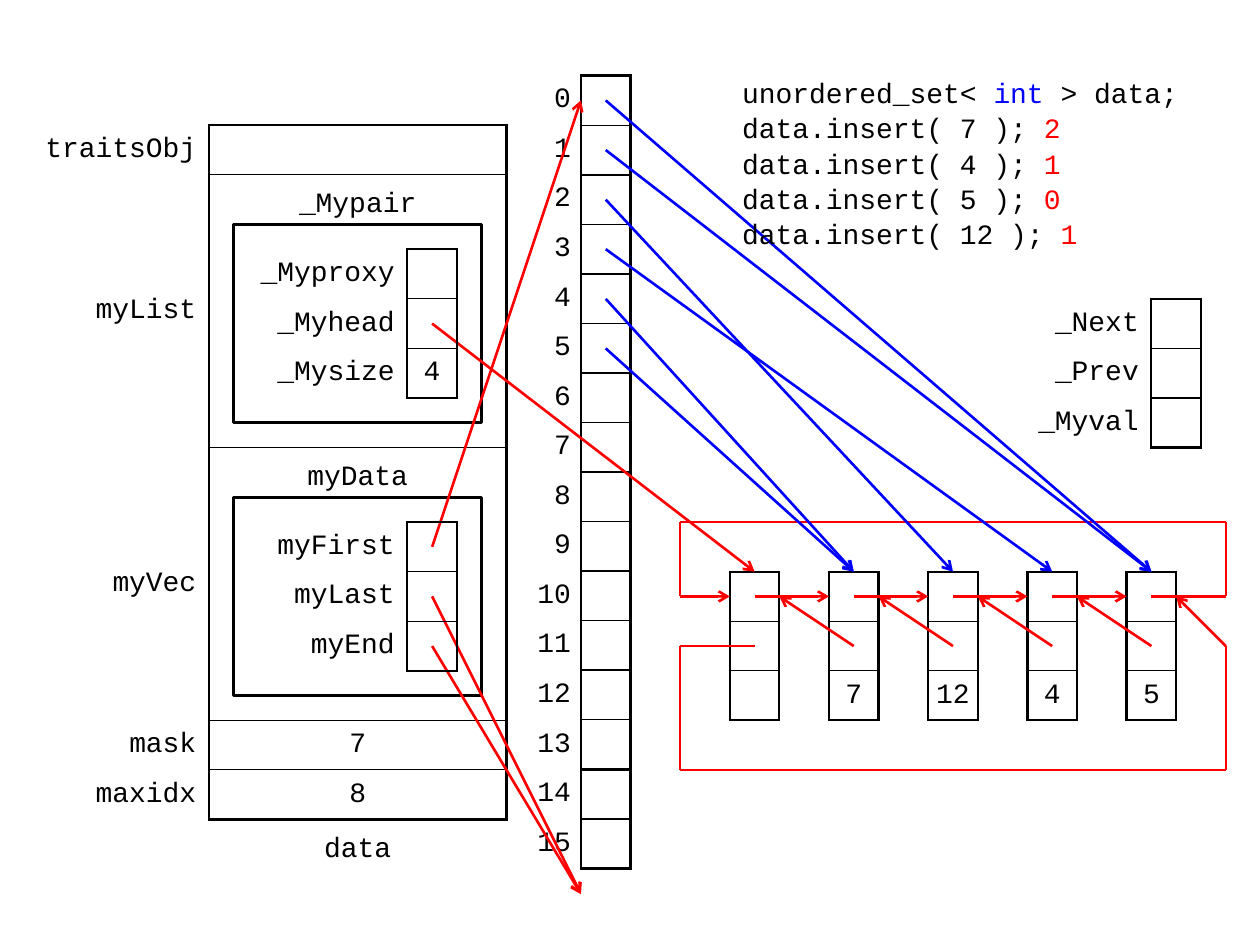
from dataclasses import dataclass

from lxml import etree
from pptx import Presentation
from pptx.dml.color import RGBColor
from pptx.enum.shapes import MSO_CONNECTOR, MSO_SHAPE
from pptx.enum.text import MSO_ANCHOR, PP_ALIGN
from pptx.oxml.ns import qn
from pptx.util import Inches, Pt

LEFT, CENTER, RIGHT = PP_ALIGN.LEFT, PP_ALIGN.CENTER, PP_ALIGN.RIGHT
TOP, MIDDLE, BOTTOM = MSO_ANCHOR.TOP, MSO_ANCHOR.MIDDLE, MSO_ANCHOR.BOTTOM
STRAIGHT, RECTANGLE = MSO_CONNECTOR.STRAIGHT, MSO_SHAPE.RECTANGLE


@dataclass(frozen=True)
class Theme:
    ink: str = "000000"
    paper: str = "FFFFFF"
    link: str = "FF0000"
    bucket: str = "0000FF"
    font: str = "Courier New"
    size: int = 16
    heavy: float = 1.5
    thin: float = 0.75


THEME = Theme()

# The drawing sits on a grid of one-centimetre cells
CELL = 1 / 2.54
GRID_LEFT, GRID_TOP = 0.28, 0.6
NODE_COLUMNS = range(14, 23, 2)
NODE_TOP = 10
NEXT_ROW, PREVIOUS_ROW = 10.5, 11.5


def span(cells):
    return Inches(cells * CELL)


def place(column, row):
    return Inches(GRID_LEFT + column * CELL), Inches(GRID_TOP + row * CELL)


def write_text(frame, lines, align=LEFT, colour=THEME.ink, space_before=0):
    """Each line is a string or a list of (text, colour) pairs."""
    for index, line in enumerate(lines):
        paragraph = frame.add_paragraph() if index else frame.paragraphs[0]
        paragraph.alignment = align
        paragraph.space_before = Pt(space_before)
        for text, run_colour in [(line, colour)] if isinstance(line, str) else line:
            run = paragraph.add_run()
            run.text = text
            run.font.name = THEME.font
            run.font.size = Pt(THEME.size)
            run.font.color.rgb = RGBColor.from_string(run_colour)


def add_text_box(slide, column, row, width, height, lines, anchor=TOP, inset=0.05, **text_format):
    box = slide.shapes.add_textbox(*place(column, row), span(width), span(height))
    frame = box.text_frame
    frame.word_wrap = True
    frame.vertical_anchor = anchor
    frame.margin_top = frame.margin_bottom = Inches(inset)
    write_text(frame, lines, **text_format)


def set_borders(cell, **widths):
    """Set the four borders by side letter; a side not named has no line."""
    properties = cell._tc.get_or_add_tcPr()
    for side in "LRTB":
        width = widths.get(side, 0)
        line = etree.SubElement(properties, qn(f"a:ln{side}"), w=str(Pt(width)))
        if width:
            fill = etree.SubElement(line, qn("a:solidFill"))
            etree.SubElement(fill, qn("a:srgbClr"), val=THEME.ink)
        else:
            etree.SubElement(line, qn("a:noFill"))


def format_cell(cell, text, align, margin_right=0):
    cell.vertical_anchor = MIDDLE
    cell.margin_top = cell.margin_bottom = Inches(0.04)
    cell.margin_left, cell.margin_right = 0, Inches(margin_right)
    cell.fill.background()
    if text:
        write_text(cell.text_frame, [text], align=align)


def add_fields(slide, column, row, columns, heights, labels=(), values=None, group=None, gap=0.1):
    """Stack of boxed values, with an optional column of labels on its left."""
    count = len(heights)
    group = group or count
    table = slide.shapes.add_table(count, len(columns), *place(column, row),
                                   span(sum(columns)), span(sum(heights))).table
    table.first_row = table.horz_banding = False
    for index, width in enumerate(columns):
        table.columns[index].width = span(width)

    def edge(index):
        return THEME.heavy if index % group == 0 or index == count else THEME.thin

    for index, height in enumerate(heights):
        table.rows[index].height = span(height)
        box = table.cell(index, len(columns) - 1)
        set_borders(box, L=THEME.heavy, R=THEME.heavy, T=edge(index), B=edge(index + 1))
        format_cell(box, (values or {}).get(index), CENTER)
        if labels:
            label = table.cell(index, 0)
            set_borders(label, R=THEME.heavy)
            format_cell(label, labels[index], RIGHT, gap)


def add_line(slide, start, end, colour=THEME.link, arrow=True):
    connector = slide.shapes.add_connector(STRAIGHT, *place(*start), *place(*end))
    connector.line.color.rgb = RGBColor.from_string(colour)
    connector.line.width = Pt(THEME.heavy)
    properties = connector._element.spPr
    if arrow:
        etree.SubElement(properties.find(qn("a:ln")), qn("a:tailEnd"), type="arrow")
    etree.SubElement(properties, qn("a:effectLst"))


def add_path(slide, points):
    for start, end in zip(points, points[1:]):
        add_line(slide, start, end, arrow=False)


def add_frame(slide, column, row, width, height):
    shape = slide.shapes.add_shape(RECTANGLE, *place(column, row), span(width), span(height))
    shape.shadow.inherit = False
    shape.fill.solid()
    shape.fill.fore_color.rgb = RGBColor.from_string(THEME.paper)
    shape.line.color.rgb = RGBColor.from_string(THEME.ink)
    shape.line.width = Pt(THEME.heavy)


def add_list_nodes(slide):
    for column, value in zip(NODE_COLUMNS, ("", "7", "12", "4", "5")):
        add_fields(slide, column, NODE_TOP, [1], [1] * 3, values={2: value})
    # Next and previous links between neighbours
    for column in NODE_COLUMNS[:-1]:
        add_line(slide, (column + 0.5, NEXT_ROW), (column + 2, NEXT_ROW))
        add_line(slide, (column + 2.5, PREVIOUS_ROW), (column + 1, NEXT_ROW))
    # Links that close the ring
    add_path(slide, [(22.5, NEXT_ROW), (24, NEXT_ROW), (24, 9), (13, 9), (13, NEXT_ROW)])
    add_line(slide, (13, NEXT_ROW), (14, NEXT_ROW))
    add_path(slide, [(14.5, PREVIOUS_ROW), (13, PREVIOUS_ROW), (13, 14), (24, 14),
                     (24, PREVIOUS_ROW)])
    add_line(slide, (24, PREVIOUS_ROW), (23, NEXT_ROW))


def add_buckets(slide):
    add_fields(slide, 9.5, 0, [1.5, 1], [1] * 16,
               labels=[str(index) for index in range(16)], group=2, gap=0.08)
    for index, node in enumerate((4, 4, 2, 3, 1, 1)):
        add_line(slide, (11.5, index + 0.5), (NODE_COLUMNS[node] + 0.5, NODE_TOP), THEME.bucket)


def add_code(slide):
    lines = [[("unordered_set< ", THEME.ink), ("int", THEME.bucket), (" > data;", THEME.ink)]]
    for value, bucket in ((7, 2), (4, 1), (5, 0), (12, 1)):
        lines.append([(f"data.insert( {value} ); ", THEME.ink), (str(bucket), THEME.link)])
    add_text_box(slide, 14, 0, 9.5, 3.5, lines, inset=0, space_before=1)


def add_members(slide):
    for title, top in (("myData", 8.5), ("_Mypair", 3)):
        add_frame(slide, 4, top, 5, 4)
        add_text_box(slide, 5, top - 1, 3, 1, [title], anchor=BOTTOM, align=CENTER)
    # Pointers held by the members
    for row, target in ((5, (14.5, NODE_TOP)), (9.5, (11, 0.5)),
                        (10.5, (11, 16.5)), (11.5, (11, 16.5))):
        add_line(slide, (8, row), target)
    add_text_box(slide, 5.5, 15, 2, 1, ["data"], anchor=BOTTOM, align=CENTER)
    add_fields(slide, 4, 3.5, [3.5, 1], [1] * 3,
               labels=["_Myproxy", "_Myhead", "_Mysize"], values={2: "4"})
    add_fields(slide, 4.5, 9, [3, 1], [1] * 3, labels=["myFirst", "myLast", "myEnd"])


def main():
    presentation = Presentation()
    presentation.slide_width, presentation.slide_height = Inches(10), Inches(7.5)
    slide = presentation.slides.add_slide(presentation.slide_layouts[6])
    # Container object
    add_fields(slide, 0, 1, [3.5, 6], [1, 5.5, 5.5, 1, 1],
               labels=["traitsObj", "myList", "myVec", "mask", "maxidx"],
               values={3: "7", 4: "8"})
    add_list_nodes(slide)
    add_buckets(slide)
    add_code(slide)
    add_members(slide)
    # Key to the node fields
    add_fields(slide, 20, 4.5, [2.5, 1], [1] * 3, labels=["_Next", "_Prev", "_Myval"])
    presentation.save("out.pptx")


main()
